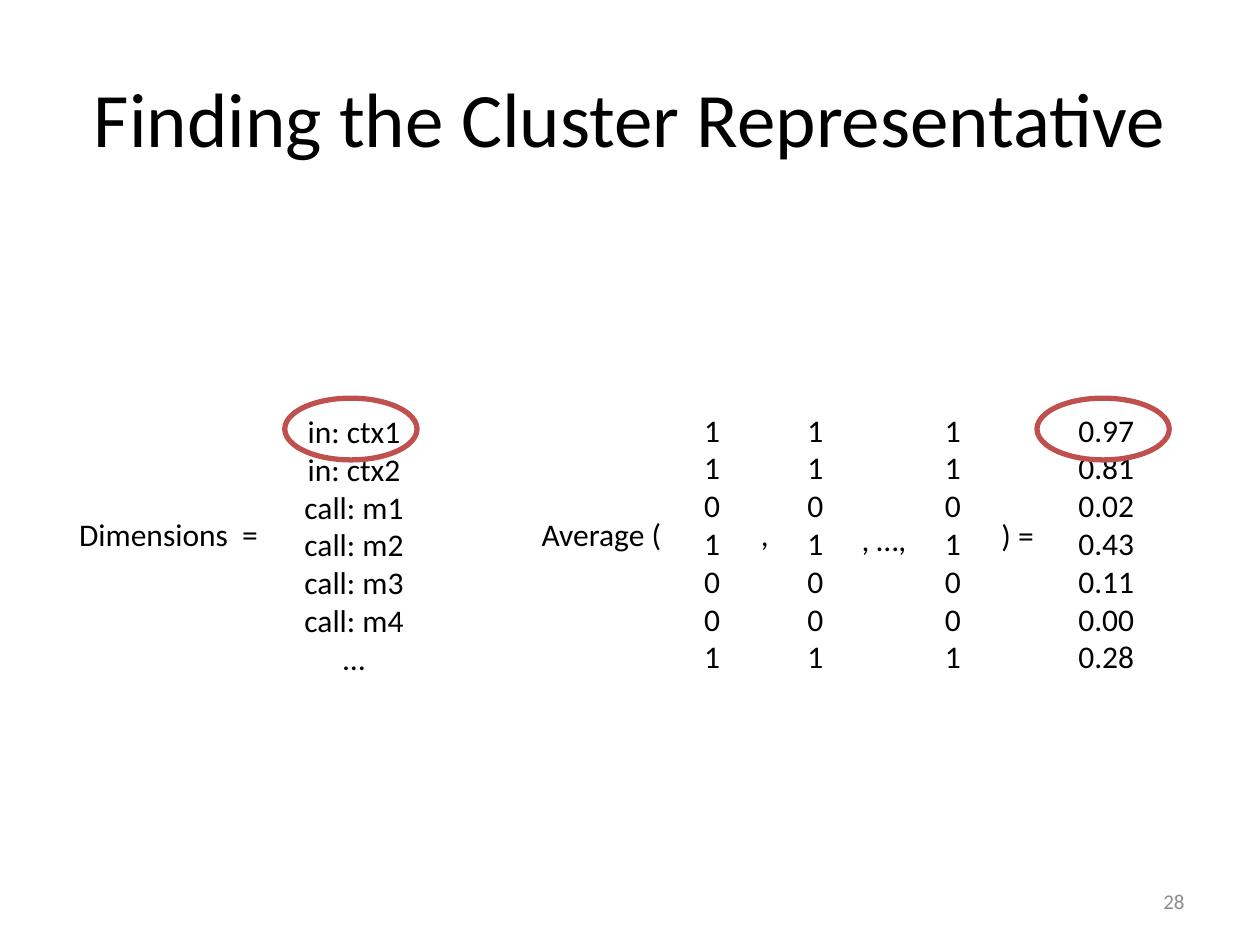
from dataclasses import dataclass

from pptx import Presentation
from pptx.dml.color import RGBColor
from pptx.enum.shapes import MSO_SHAPE as Shape
from pptx.enum.text import MSO_ANCHOR as Anchor, MSO_AUTO_SIZE as AutoSize, PP_ALIGN as Align
from pptx.util import Inches, Pt


@dataclass(frozen=True)
class Theme:
    font: str = "Calibri"
    ink: RGBColor = RGBColor(0x00, 0x00, 0x00)
    muted: RGBColor = RGBColor(0x8C, 0x8C, 0x8C)
    accent: RGBColor = RGBColor(0xC0, 0x50, 0x4D)
    title: Pt = Pt(44)
    body: Pt = Pt(18)
    number: Pt = Pt(12)
    ring: Pt = Pt(3)


THEME = Theme()
ROW_HEIGHT = Inches(0.4)
VECTOR_HEIGHT = Inches(2.22)
DIMENSIONS = ["in: ctx1", "in: ctx2", "call: m1", "call: m2", "call: m3", "call: m4", "…"]
MEMBER = ["1", "1", "0", "1", "0", "0", "1"]
REPRESENTATIVE = ["0.97", "0.81", "0.02", "0.43", "0.11", "0.00", "0.28"]


def add_lines(slide, box, lines, align=Align.LEFT, size=THEME.body, color=THEME.ink):
    frame = slide.shapes.add_textbox(*box).text_frame
    frame.text = "\n".join(lines)
    for paragraph in frame.paragraphs:
        paragraph.alignment = align
        paragraph.font.name = THEME.font
        paragraph.font.size = size
        paragraph.font.color.rgb = color
    return frame


def add_label(slide, box, lines, align=Align.LEFT):
    frame = add_lines(slide, box, lines, align)
    frame.word_wrap = False
    frame.auto_size = AutoSize.SHAPE_TO_FIT_TEXT


def add_heading(slide, box):
    frame = add_lines(slide, box, ["Finding the Cluster Representative"], Align.CENTER, THEME.title)
    frame.word_wrap = True
    frame.vertical_anchor = Anchor.MIDDLE


def add_slide_number(slide, box):
    frame = add_lines(slide, box, ["28"], Align.RIGHT, THEME.number, THEME.muted)
    frame.word_wrap = True
    frame.vertical_anchor = Anchor.MIDDLE


def add_ring(slide, left, top):
    ring = slide.shapes.add_shape(Shape.OVAL, left, top, Inches(1.05), Inches(0.49))
    ring.shadow.inherit = False
    ring.fill.background()
    ring.line.color.rgb = THEME.accent
    ring.line.width = THEME.ring


def add_dimensions(slide, box):
    left, top, width, height = box
    add_label(slide, (left, top + Inches(0.88), Inches(1.64), ROW_HEIGHT), ["Dimensions  ="])
    names_width = Inches(1)
    names_left = left + width - names_width
    add_label(slide, (names_left, top + Inches(0.06), names_width, VECTOR_HEIGHT),
              DIMENSIONS, Align.CENTER)
    add_ring(slide, names_left - Inches(0.05), top)


def add_average(slide, box):
    left, top, width, height = box
    vector_top = top + Inches(0.05)
    for offset in (1.29, 2.11, 3.2):
        add_label(slide, (left + Inches(offset), vector_top, Inches(0.33), VECTOR_HEIGHT), MEMBER)
    signs = [
        ("Average (", 0, 0.88, 1.17),
        (",", 1.74, 0.88, 0.26),
        (", …,", 2.54, 0.92, 0.56),
        (") =", 3.65, 0.89, 0.46),
    ]
    for sign, across, down, sign_width in signs:
        add_label(slide, (left + Inches(across), top + Inches(down),
                          Inches(sign_width), ROW_HEIGHT), [sign])
    result_width = Inches(0.65)
    result_left = left + width - result_width
    add_label(slide, (result_left, vector_top, result_width, VECTOR_HEIGHT), REPRESENTATIVE)
    add_ring(slide, result_left - Inches(0.23), top)


def main():
    deck = Presentation()
    deck.slide_width, deck.slide_height = Inches(10), Inches(7.5)
    slide = deck.slides.add_slide(deck.slide_layouts[6])
    add_heading(slide, (Inches(0.5), Inches(0.3), Inches(9), Inches(1.25)))
    add_dimensions(slide, (Inches(0.53), Inches(3.16), Inches(2.78), Inches(2.28)))
    add_average(slide, (Inches(4.2), Inches(3.16), Inches(4.91), Inches(2.27)))
    add_slide_number(slide, (Inches(7.17), Inches(6.95), Inches(2.33), Inches(0.4)))
    deck.save("out.pptx")


if __name__ == "__main__":
    main()
